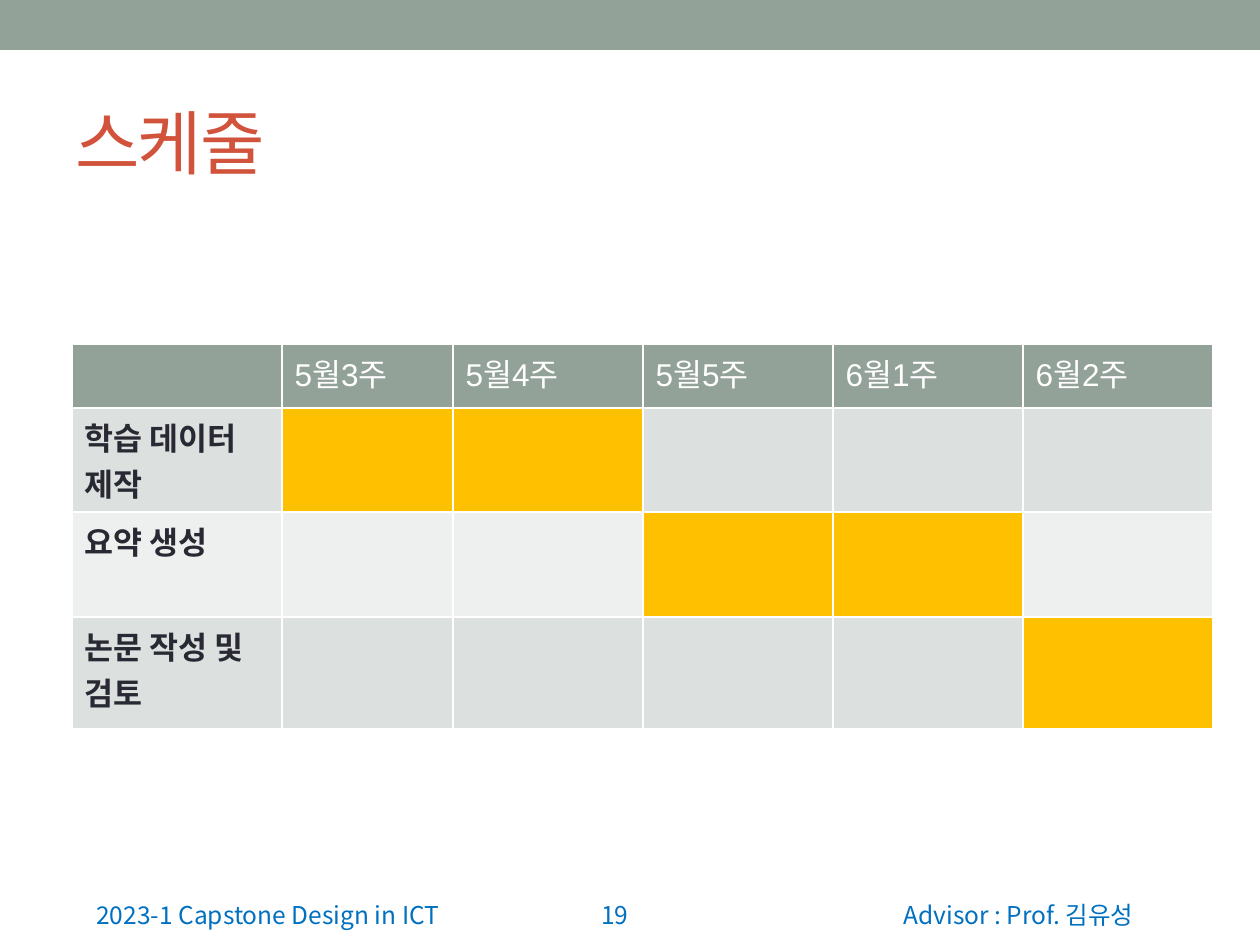
import dataclasses
import typing

import pptx
import pptx.dml.color
import pptx.enum.shapes
import pptx.enum.text
import pptx.oxml
import pptx.oxml.ns
import pptx.util

PX_PER_INCH = 126
ALIGN = pptx.enum.text.PP_ALIGN
ANCHOR = pptx.enum.text.MSO_ANCHOR


@dataclasses.dataclass(frozen=True)
class Theme:
    sage: str = "93A299"
    title: str = "D2533C"
    footer: str = "0070C0"
    ink: str = "292934"
    white: str = "FFFFFF"
    busy: str = "FFC000"
    bands: tuple[str, str] = ("DCE0DE", "EEF0EF")
    title_size: int = 40
    table_size: int = 18
    footer_size: int = 14
    body_font: str = "Arial"
    asian_font: str = "Noto Sans CJK KR"


@dataclasses.dataclass(frozen=True)
class Area:
    left: int
    top: int
    width: int
    height: int

    def emu(self) -> list[int]:
        return [px(side) for side in dataclasses.astuple(self)]


@dataclasses.dataclass(frozen=True)
class Style:
    font: str
    size: int
    color: str
    bold: bool = False
    spacing: int = 0


@dataclasses.dataclass(frozen=True)
class Label:
    text: str
    area: Area
    style: Style
    align: ALIGN = ALIGN.LEFT
    anchor: ANCHOR = ANCHOR.BOTTOM


@dataclasses.dataclass(frozen=True)
class Task:
    name: str
    first_week: int
    last_week: int


THEME = Theme()
TITLE = Style(THEME.body_font, THEME.title_size, THEME.title, spacing=-100)
FOOTER = Style(THEME.asian_font, THEME.footer_size, THEME.footer)
HEADER = Style(THEME.body_font, THEME.table_size, THEME.white)
TASK = Style(THEME.body_font, THEME.table_size, THEME.ink, bold=True)

BAND = Area(0, 0, 1260, 50)
LABELS = [
    Label("19", Area(520, 873, 121, 63), FOOTER, ALIGN.RIGHT),
    Label("Advisor : Prof. 김유성", Area(819, 873, 399, 63), FOOTER, ALIGN.CENTER),
    Label("2023-1 Capstone Design in ICT", Area(84, 873, 399, 63), FOOTER),
    Label("스케줄", Area(63, 73, 1134, 136), TITLE, anchor=ANCHOR.MIDDLE),
]

WEEKS = ["5월3주", "5월4주", "5월5주", "6월1주", "6월2주"]
TASKS = [
    Task("학습 데이터 제작", 1, 2),
    Task("요약 생성", 3, 4),
    Task("논문 작성 및 검토", 5, 5),
]
COLUMNS = [210, 171] + [190] * 4
ROWS = [64, 104, 105, 112]
SCHEDULE = Area(72, 344, sum(COLUMNS), sum(ROWS))


def px(length: int) -> int:
    return round(length * pptx.util.Inches(1) / PX_PER_INCH)


def rgb(color: str) -> pptx.dml.color.RGBColor:
    return pptx.dml.color.RGBColor.from_string(color)


def apply(target: typing.Any, values: dict[str, typing.Any]) -> None:
    for name, value in values.items():
        setattr(target, name, value)


def paint(fill: typing.Any, color: str) -> None:
    fill.solid()
    fill.fore_color.rgb = rgb(color)


def write(para: typing.Any, text: str, style: Style) -> None:
    span = para.add_run()
    span.text = text
    apply(span.font, {
        "name": style.font,
        "size": pptx.util.Pt(style.size),
        "bold": style.bold,
    })
    span.font.color.rgb = rgb(style.color)
    properties = span.font._element
    if style.spacing:
        properties.set("spc", str(style.spacing))
    asian = pptx.oxml.parse_xml(
        f'<a:ea {pptx.oxml.ns.nsdecls("a")} typeface="{THEME.asian_font}"/>')
    properties.find(pptx.oxml.ns.qn("a:latin")).addnext(asian)


def draw_band(page: typing.Any, area: Area, color: str) -> None:
    band = page.shapes.add_shape(
        pptx.enum.shapes.MSO_SHAPE.RECTANGLE, *area.emu())
    band.shadow.inherit = False
    band.line.fill.background()
    paint(band.fill, color)


def draw_label(page: typing.Any, label: Label) -> None:
    frame = page.shapes.add_textbox(*label.area.emu()).text_frame
    apply(frame, {"word_wrap": True, "vertical_anchor": label.anchor})
    para = frame.paragraphs[0]
    para.alignment = label.align
    write(para, label.text, label.style)


def draw_cell(cell: typing.Any, fill: str, text: str, style: Style) -> None:
    properties = cell._tc.get_or_add_tcPr()
    for side in "LRTB":
        properties.append(pptx.oxml.parse_xml(
            f'<a:ln{side} {pptx.oxml.ns.nsdecls("a")} w="{pptx.util.Pt(1)}">'
            f'<a:solidFill><a:srgbClr val="{THEME.white}"/></a:solidFill>'
            f'</a:ln{side}>'))
    paint(cell.fill, fill)
    if text:
        write(cell.text_frame.paragraphs[0], text, style)


def draw_schedule(page: typing.Any, area: Area, tasks: list[Task]) -> None:
    table = page.shapes.add_table(len(ROWS), len(COLUMNS), *area.emu()).table
    apply(table, {"first_row": False, "horz_banding": False})
    for column, width in zip(table.columns, COLUMNS):
        column.width = px(width)
    for row, height in zip(table.rows, ROWS):
        row.height = px(height)
    for column, week in enumerate(["", *WEEKS]):
        draw_cell(table.cell(0, column), THEME.sage, week, HEADER)
    for index, task in enumerate(tasks):
        for column in range(len(COLUMNS)):
            busy = task.first_week <= column <= task.last_week
            fill = THEME.busy if busy else THEME.bands[index % 2]
            text = "" if column else task.name
            draw_cell(table.cell(index + 1, column), fill, text, TASK)


def main() -> None:
    deck = pptx.Presentation()
    apply(deck, {
        "slide_width": pptx.util.Inches(10),
        "slide_height": pptx.util.Inches(7.5),
    })
    page = deck.slides.add_slide(deck.slide_layouts[6])
    draw_band(page, BAND, THEME.sage)
    for label in LABELS:
        draw_label(page, label)
    draw_schedule(page, SCHEDULE, TASKS)
    deck.save("out.pptx")


if __name__ == "__main__":
    main()
